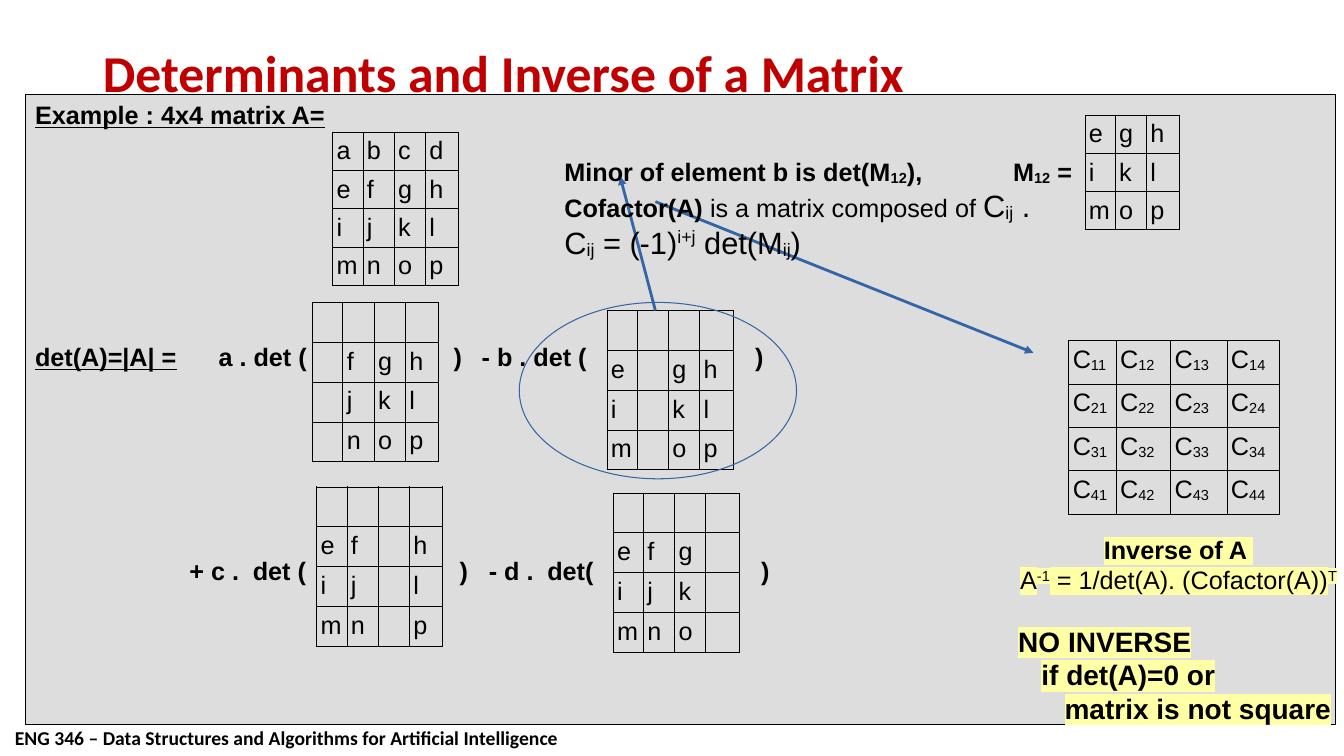
from lxml import etree
from pptx import Presentation
from pptx import util as u
from pptx.dml.color import RGBColor
from pptx.enum import shapes, text
from pptx.oxml import ns

COLORS = {"title": "C00000", "ink": "000000", "panel": "DDDDDD",
          "arrow": "3465A4", "mark": "FFFFA6"}
BOLD = {"bold": True}
SUB = {"base": -8}
SUP = {"base": 33}
MATRIX_WIDTHS = (0.3, 0.31, 0.31, 0.33)
MATRICES = [
    (3.3, 1.31, MATRIX_WIDTHS, ["abcd", "efgh", "ijkl", "mnop"]),
    (3.1, 3, MATRIX_WIDTHS, ["    ", " fgh", " jkl", " nop"]),
    (6.02, 3.08, MATRIX_WIDTHS, ["    ", "e gh", "i kl", "m op"]),
    (3.14, 4.83, MATRIX_WIDTHS, ["    ", "ef h", "ij l", "mn p"]),
    (6.08, 4.89, MATRIX_WIDTHS, ["    ", "efg ", "ijk ", "mno "]),
    (10.76, 1.14, (0.3, 0.31, 0.33), ["egh", "ikl", "mop"]),
]


def color(name):
    """Return the named colour."""
    return RGBColor.from_string(COLORS[name])


def add_run(paragraph, words, size=18, font="Arial", ink="ink", bold=False,
            underline=False, base=0, mark=None):
    """Add one formatted run to a paragraph."""
    run = paragraph.add_run()
    run.text = words
    run.font.size = u.Pt(size)
    run.font.name = font
    run.font.bold = bold
    run.font.underline = underline
    run.font.color.rgb = color(ink)
    properties = run.font._element
    if base:
        properties.set("baseline", str(base * 1000))
    if mark:
        highlight = etree.Element(ns.qn("a:highlight"))
        etree.SubElement(highlight, ns.qn("a:srgbClr"), val=COLORS[mark])
        properties.find(ns.qn("a:solidFill")).addnext(highlight)


def write(frame, paragraphs, **common):
    """Fill a text frame from (runs, space before, tab stops, alignment)."""
    frame.word_wrap = True
    frame.auto_size = text.MSO_AUTO_SIZE.NONE
    for index, (runs, before, stops, alignment) in enumerate(paragraphs):
        paragraph = frame.add_paragraph() if index else frame.paragraphs[0]
        paragraph.alignment = alignment
        if before:
            paragraph.space_before = u.Pt(before)
        if stops:
            tabs = etree.SubElement(paragraph._p.get_or_add_pPr(), ns.qn("a:tabLst"))
            for stop in stops:
                etree.SubElement(tabs, ns.qn("a:tab"), pos=str(u.Inches(stop)), algn="l")
        for words, style in runs:
            add_run(paragraph, words, **{**common, **style})


def add_text(slide, left, top, width, height, paragraphs, **common):
    """Add a text box."""
    box = slide.shapes.add_textbox(*map(u.Inches, (left, top, width, height)))
    write(box.text_frame, paragraphs, **common)
    return box


def add_outline(slide, kind, left, top, width, height, line, fill=None):
    """Add a preset shape with a hairline outline."""
    shape = slide.shapes.add_shape(kind, *map(u.Inches, (left, top, width, height)))
    shape.shadow.inherit = False
    shape.line.color.rgb = color(line)
    shape.line.width = u.Pt(0)
    if fill:
        shape.fill.solid()
        shape.fill.fore_color.rgb = color(fill)
    else:
        shape.fill.background()
    return shape


def add_arrow(slide, start, end):
    """Add a hairline arrow."""
    points = map(u.Inches, (*start, *end))
    arrow = slide.shapes.add_connector(shapes.MSO_CONNECTOR.STRAIGHT, *points)
    arrow.line.color.rgb = color("arrow")
    arrow.line.width = u.Pt(0)
    etree.SubElement(arrow.line._get_or_add_ln(), ns.qn("a:tailEnd"), type="triangle")
    etree.SubElement(arrow._element.spPr, ns.qn("a:effectLst"))


def add_borders(cell):
    """Draw a thin line on all sides of a cell."""
    properties = cell._tc.get_or_add_tcPr()
    for index, side in enumerate(("a:lnL", "a:lnR", "a:lnT", "a:lnB")):
        line = etree.Element(ns.qn(side), w=str(u.Pt(0.57)))
        fill = etree.SubElement(line, ns.qn("a:solidFill"))
        etree.SubElement(fill, ns.qn("a:srgbClr"), val=COLORS["ink"])
        properties.insert(index, line)


def add_matrix(slide, left, top, widths, rows, row_height=0.38):
    """Add a matrix whose entries are a letter and an optional subscript."""
    size = (sum(widths), row_height * len(rows))
    frame = slide.shapes.add_table(len(rows), len(widths),
                                   *map(u.Inches, (left, top, *size)))
    table = frame.table
    table.first_row = table.horz_banding = False
    for column, width in zip(table.columns, widths):
        column.width = u.Inches(width)
    for row, entries in zip(table.rows, rows):
        row.height = u.Inches(row_height)
        for cell, entry in zip(row.cells, entries):
            cell.margin_left = cell.margin_right = cell.margin_bottom = u.Inches(0.04)
            cell.margin_top = u.Inches(0.05)
            cell.fill.background()
            add_borders(cell)
            paragraph = cell.text_frame.paragraphs[0]
            if entry.strip():
                add_run(paragraph, entry[0])
            if entry[1:]:
                add_run(paragraph, entry[1:], **SUB)


def add_title(slide):
    """Place and format the title."""
    title = slide.shapes.title
    title.left, title.top, title.width, title.height = map(
        u.Inches, (0.92, 0.4, 10.08, 0.7))
    frame = title.text_frame
    frame.vertical_anchor = text.MSO_ANCHOR.MIDDLE
    write(frame, [([("Determinants and Inverse of a Matrix", {})], 0, (),
                   text.PP_ALIGN.LEFT)], size=36.9, font="Calibri", ink="title", bold=True)
    frame.paragraphs[0].line_spacing = 0.9


def add_panel(slide):
    """Add the grey panel with the expansion of the determinant."""
    panel = add_outline(slide, shapes.MSO_SHAPE.RECTANGLE, 0.25, 0.94, 13, 6.25,
                        "ink", "panel")
    panel.text_frame.vertical_anchor = text.MSO_ANCHOR.TOP
    left = text.PP_ALIGN.LEFT
    write(panel.text_frame, [
        ([("Example : 4x4 matrix A=", {"underline": True})], 0, (), left),
        ([("det(A)=|A| =", {"underline": True}),
          ("\ta . det (\t)\t- b . det (\t)", {})],
         151, (1.82, 4.15, 4.43, 7.14), left),
        ([("\t+ c .\tdet (\t)\t- d .\tdet(\t)", {})],
         131, (1.53, 2.16, 4.21, 4.5, 5.08, 7.2), left),
    ], bold=True)


def add_minor_note(slide):
    """Add the definitions of minor and cofactor."""
    large = {"size": 22}
    large_sub = {**large, **SUB}
    add_text(slide, 5.5, 1.5, 6.4, 1.34, [
        ([("Minor of element b is det(M", BOLD), ("12", {**BOLD, **SUB}),
          ("),\tM", BOLD), ("12", {**BOLD, **SUB}), (" =", BOLD)], 0, (4.45,), None),
        ([("Cofactor(A)", BOLD), (" is a matrix composed of ", {}),
          ("C", large), ("ij", large_sub), (" .", large)], 0, (), None),
        ([("C", large), ("ij", large_sub), (" = (-1)", large),
          ("i+j", {**large, **SUP}), (" det(M", large), ("ij", large_sub),
          (")", large)], 0, (), None),
    ])


def add_inverse_note(slide):
    """Add the highlighted rule for the inverse."""
    center = text.PP_ALIGN.CENTER
    strong = {"size": 20, "bold": True}
    note = add_text(slide, 10, 5.25, 3.35, 1.87, [
        ([("Inverse of A ", BOLD)], 0, (), center),
        ([("A", {}), ("-1", SUP), (" = 1/det(A). (Cofactor(A))", {}), ("T", SUP)],
         0, (), center),
        ([("NO INVERSE", strong)], 21, (), None),
        ([("\tif det(A)=0 or", strong)], 0, (0.23,), None),
        ([("\tmatrix is not square", strong)], 0, (0.46,), None),
    ], mark="mark")
    note.text_frame.margin_right = u.Inches(0.07)


def main():
    """Build and save the slide."""
    presentation = Presentation()
    presentation.slide_width = u.Inches(13.33)
    presentation.slide_height = u.Inches(7.5)
    slide = presentation.slides.add_slide(presentation.slide_layouts[5])
    add_text(slide, 0.05, 7.15, 5.63, 0.33, [
        ([("ENG 346 – Data Structures and Algorithms for Artificial Intelligence", BOLD)],
         0, (), None)], size=14, font="Calibri")
    add_title(slide)
    add_panel(slide)
    for matrix in MATRICES:
        add_matrix(slide, *matrix)
    cofactors = [[f"C{i}{j}" for j in range(1, 5)] for i in range(1, 5)]
    add_matrix(slide, 10.6, 3.38, (0.47, 0.54, 0.56, 0.52), cofactors, 0.43)
    add_arrow(slide, (6.5, 3.08), (6.15, 1.75))
    add_arrow(slide, (6.5, 2), (10.25, 3.5))
    add_outline(slide, shapes.MSO_SHAPE.OVAL, 5.15, 3, 2.75, 1.75, "arrow")
    add_minor_note(slide)
    add_inverse_note(slide)
    presentation.save("out.pptx")


if __name__ == "__main__":
    main()
